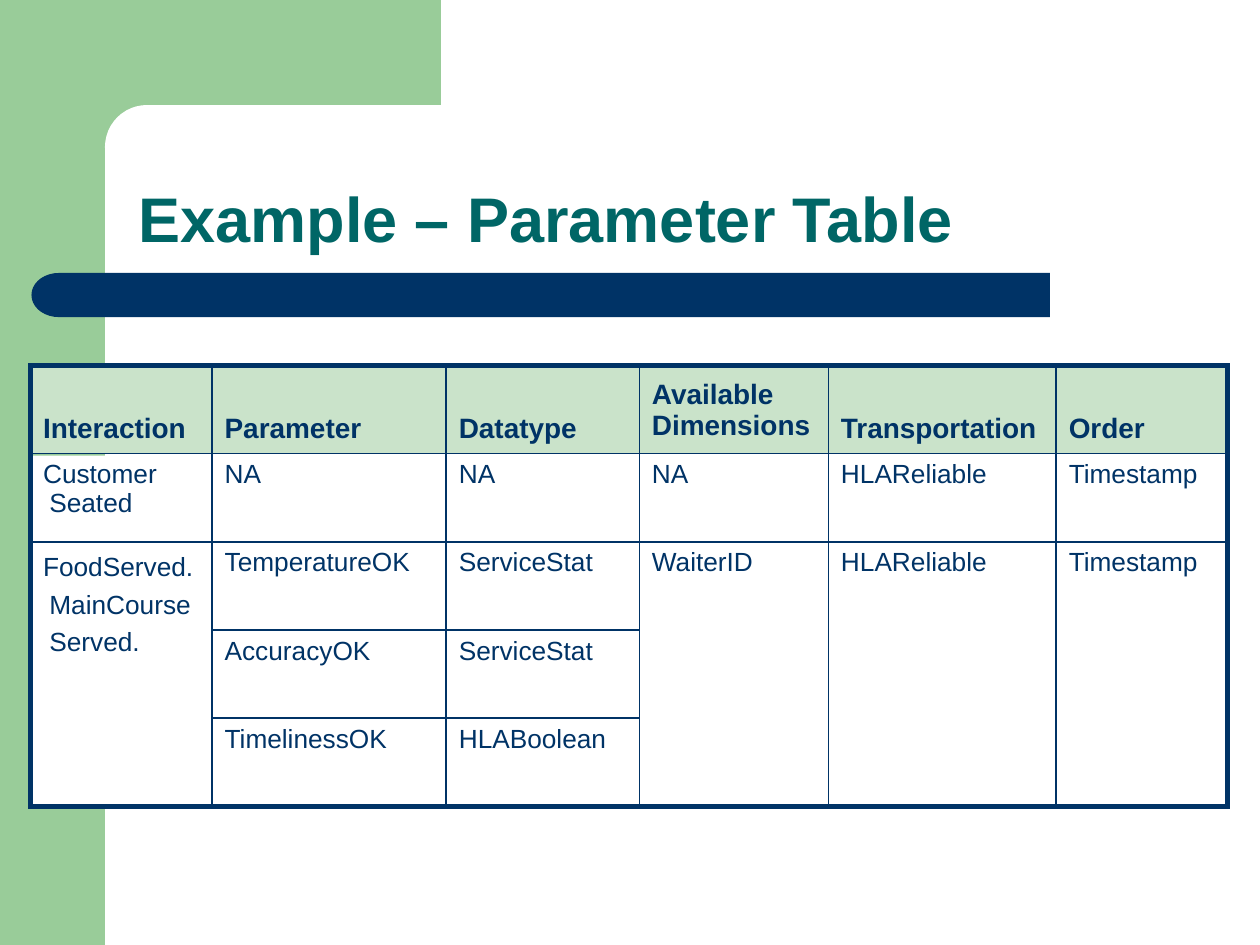
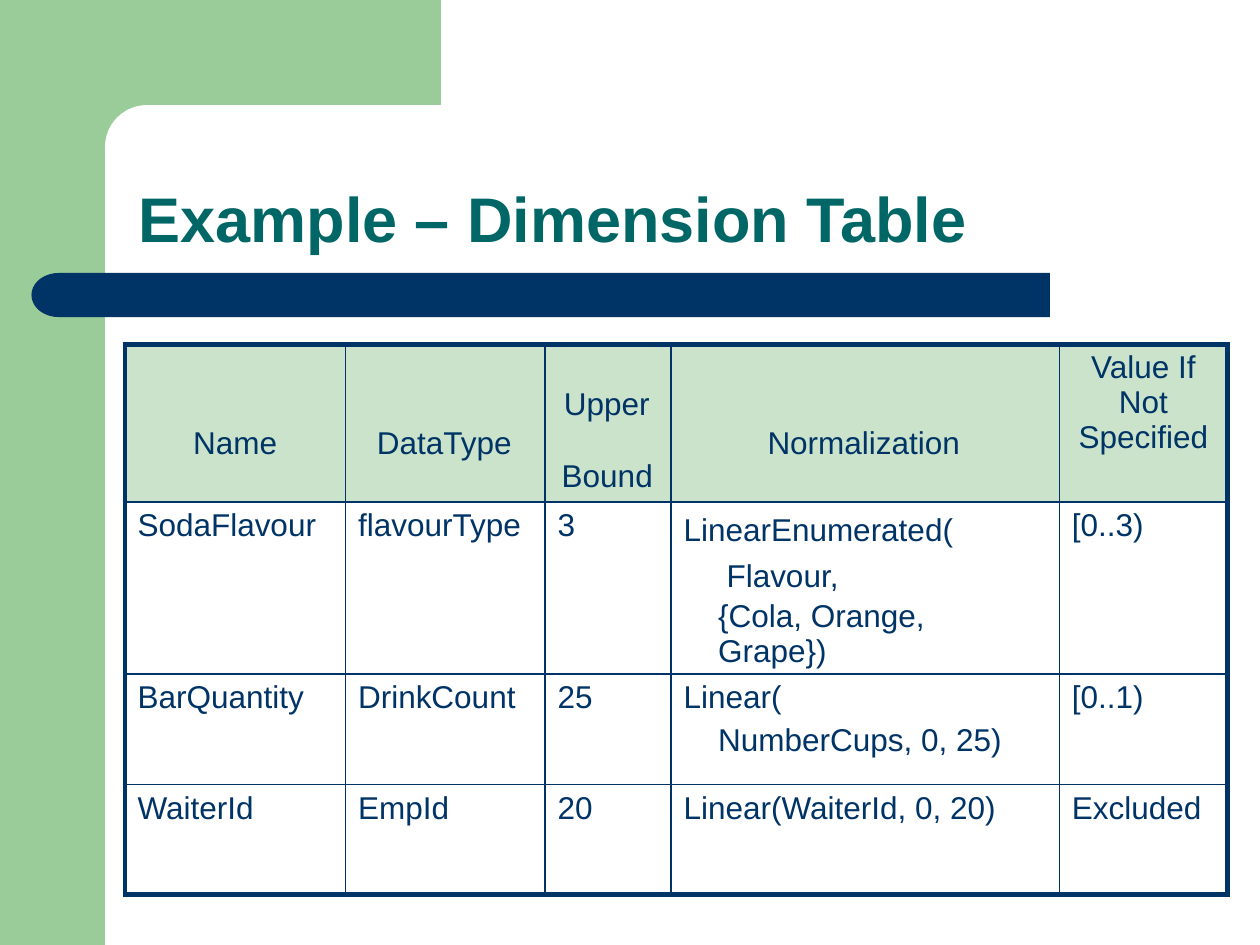
import math
from dataclasses import dataclass

from lxml import etree
from pptx import Presentation
from pptx import util as u
from pptx.dml.color import RGBColor
from pptx.enum import shapes, text
from pptx.oxml.ns import qn

COLS, ROWS = 120, 90
GREEN, PALE, NAVY, TEAL, WHITE = "99CC99", "CAE3CA", "003366", "006666", "FFFFFF"
FONT = "Arial"


def rgb(value):
    return RGBColor.from_string(value)


@dataclass
class Para:
    text: str
    indent: float = 1.2
    first: float = 0
    top: float = 0.6
    gap: float = 0
    line: float = None
    align: text.PP_ALIGN = text.PP_ALIGN.LEFT


class Deck:
    def __init__(self):
        self.prs = Presentation()
        self.prs.slide_width, self.prs.slide_height = u.Inches(10), u.Inches(7.5)
        self.s = None

    def x(self, columns):
        return round(self.prs.slide_width * columns / COLS)

    def y(self, rows):
        return round(self.prs.slide_height * rows / ROWS)

    def box(self, left, top, width, height):
        return self.x(left), self.y(top), self.x(width), self.y(height)

    def paint(self, sp, color):
        sp.shadow.inherit = False
        sp.fill.solid()
        sp.fill.fore_color.rgb = rgb(color)
        sp.line.fill.background()

    def shape(self, kind, color, *box):
        sp = self.s.shapes.add_shape(kind, *self.box(*box))
        self.paint(sp, color)
        return sp

    def outline(self, color, points):
        pts = [(self.x(a), self.y(b)) for a, b in points]
        fb = self.s.shapes.build_freeform(*pts[0])
        fb.add_line_segments(pts[1:], close=True)
        self.paint(fb.convert_to_shape(), color)

    def frame(self):
        self.outline(GREEN, [(42, 0), (0, 0), (0, 90), (10, 90), (10, 14), (42, 14)])
        sp = self.shape(shapes.MSO_SHAPE.ROUNDED_RECTANGLE, WHITE, 10, 10, 67, 8)
        sp.adjustments[0] = 0.5
        angles = [math.radians(a) for a in range(90, 271, 10)]
        cap = [(5.6 + 2.6 * math.cos(a), 28.1 - 2.1 * math.sin(a)) for a in angles]
        self.outline(NAVY, [(100, 26)] + cap + [(100, 30.2)])

    def slide(self, title):
        self.s = self.prs.slides.add_slide(self.prs.slide_layouts[5])
        self.frame()
        sp = self.s.shapes.title
        sp.element.getparent().append(sp.element)
        sp.left, sp.top, sp.width, sp.height = self.box(13.1, 17, 79.7, 7.6)
        tf = sp.text_frame
        tf.margin_left = tf.margin_right = tf.margin_bottom = 0
        tf.margin_top = self.y(0.1)
        tf.vertical_anchor = text.MSO_ANCHOR.TOP
        tf.auto_size = text.MSO_AUTO_SIZE.NONE
        self.fill_para(tf.paragraphs[0], Para(title, indent=0.1), 36, TEAL, True)

    def fill_para(self, p, para, size, color, bold=False):
        p.alignment = para.align
        pPr = p._p.get_or_add_pPr()
        pPr.set("marL", str(self.x(para.indent)))
        pPr.set("indent", str(self.x(para.first)))
        p.space_before = u.Pt(para.gap)
        if para.line:
            p.line_spacing = u.Pt(para.line)
        for i, part in enumerate(para.text.split("\v")):
            if i:
                p.add_line_break()
            r = p.add_run()
            r.text = part
            r.font.name, r.font.size, r.font.bold = FONT, u.Pt(size), bold
            r.font.color.rgb = rgb(color)

    def borders(self, cell, widths):
        tcPr = cell._tc.get_or_add_tcPr()
        for i, (side, width) in enumerate(zip("LRTB", widths)):
            ln = etree.Element(qn(f"a:ln{side}"), w=str(u.Pt(width)))
            fill = etree.SubElement(ln, qn("a:solidFill"))
            etree.SubElement(fill, qn("a:srgbClr"), val=NAVY)
            tcPr.insert(i, ln)

    def cell(self, cell, content, size, fill, bold):
        paras = content if isinstance(content, list) else [content]
        paras = [Para(item) if isinstance(item, str) else item for item in paras]
        cell.margin_left = cell.margin_right = cell.margin_bottom = 0
        cell.margin_top = self.y(paras[0].top)
        if fill:
            cell.fill.solid()
            cell.fill.fore_color.rgb = rgb(fill)
        else:
            cell.fill.background()
        tf = cell.text_frame
        for i, para in enumerate(paras):
            p = tf.add_paragraph() if i else tf.paragraphs[0]
            self.fill_para(p, para, size, NAVY, bold)

    def table(self, left, top, widths, heights, rows, size, head_size, head_bold):
        n, m = len(rows), len(widths)
        box = self.box(left, top, sum(widths), sum(heights))
        tb = self.s.shapes.add_table(n, m, *box).table
        tb.first_row = tb.horz_banding = False
        for column, width in zip(tb.columns, widths):
            column.width = self.x(width)
        for row, height in zip(tb.rows, heights):
            row.height = self.y(height)
        for i, row in enumerate(rows):
            for j, content in enumerate(row):
                if content is None:
                    continue
                end = i
                while end + 1 < n and rows[end + 1][j] is None:
                    end += 1
                cell = tb.cell(i, j)
                if end > i:
                    cell.merge(tb.cell(end, j))
                if i == 0:
                    self.cell(cell, content, head_size, PALE, head_bold)
                else:
                    self.cell(cell, content, size, None, False)
                outer = (j == 0, j == m - 1, i == 0, end == n - 1)
                self.borders(cell, [3 if edge else 1 for edge in outer])


def parameter_slide(deck):
    deck.slide("Example – Parameter Table")
    deck.shape(shapes.MSO_SHAPE.RECTANGLE, WHITE, 3, 43.4, 17.3, 33.6)
    interaction, parameter, datatype, transportation, order = [
        Para(label, top=4.6)
        for label in ("Interaction", "Parameter", "Datatype", "Transportation", "Order")]
    dimensions = Para("Available\vDimensions", top=1.3)
    rows = [
        [interaction, parameter, datatype, dimensions, transportation, order],
        [Para("Customer\vSeated", 1.8, -0.6), "NA", "NA", "NA", "HLAReliable", "Timestamp"],
        [Para("FoodServed.\vMainCourse\vServed.", 1.8, -0.6, top=0.2, line=21.6),
         "TemperatureOK", "ServiceStat", "WaiterID", "HLAReliable", "Timestamp"],
        [None, "AccuracyOK", "ServiceStat", None, None, None],
        [None, "TimelinessOK", "HLABoolean", None, None, None],
    ]
    widths = [17.3, 22.3, 18.4, 18, 21.7, 16.3]
    deck.table(2.9, 34.8, widths, [8.4] * 5, rows, 15, 16, True)


def dimension_slide(deck):
    deck.slide("Example – Dimension Table")
    name, data_type, normalization = [
        Para(label, indent, top=7.8)
        for label, indent in (("Name", 6.5), ("DataType", 3), ("Normalization", 9.2))]
    bound = [Para("Upper", 1.6, 0.2, top=4.1), Para("Bound", 1.6, gap=20.7)]
    value = Para("Value If\vNot\vSpecified", 0, top=0.5, align=text.PP_ALIGN.CENTER)
    flavour = [Para("LinearEnumerated(\vFlavour,", 5.3, -4.1, top=0.1, line=26),
               Para("{Cola, Orange,\vGrape})", 4.5, gap=2.9)]
    cups = [Para("Linear("), Para("NumberCups, 0, 25)", 4.5, gap=4.4)]
    rows = [
        [name, data_type, bound, normalization, value],
        ["SodaFlavour", "flavourType", "3", flavour, "[0..3)"],
        ["BarQuantity", "DrinkCount", "25", cups, "[0..1)"],
        ["WaiterId", "EmpId", "20", "Linear(WaiterId, 0, 20)", "Excluded"],
    ]
    deck.table(11.9, 32.8, [21, 19, 12, 37, 16], [15, 16.4, 10.5, 10.5], rows, 18, 18, False)


if __name__ == "__main__":
    deck = Deck()
    parameter_slide(deck)
    dimension_slide(deck)
    deck.prs.save("out.pptx")
